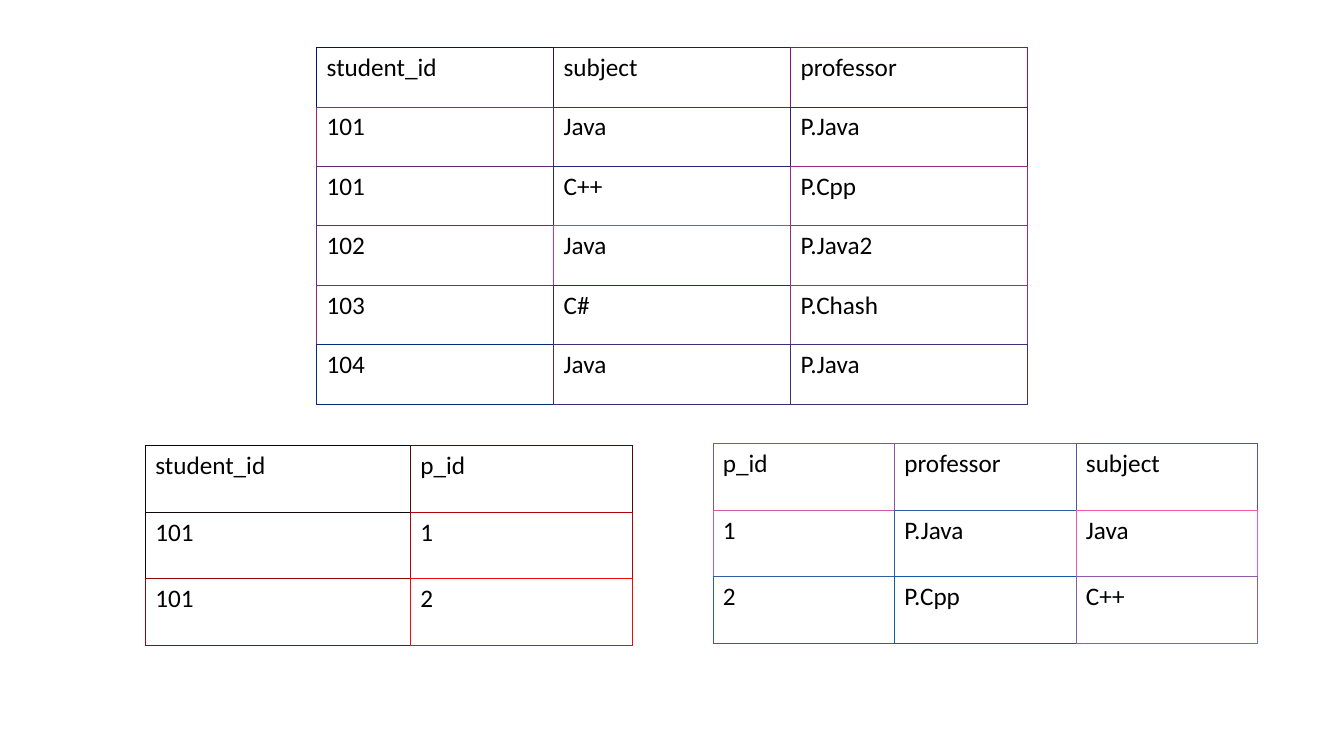
from lxml.etree import SubElement
from pptx import Presentation
from pptx.dml.color import RGBColor
from pptx.oxml.ns import qn
from pptx.util import Inches, Pt

# Each cell is (text, border colour).
ENROLMENT = [
    [("student_id", "000E7A"), ("subject", "20147A"), ("professor", "80157A")],
    [("101", "A0217A"), ("Java", "601F7A"), ("P.Java", "401B7A")],
    [("101", "60267A"), ("C++", "20277A"), ("P.Cpp", "A0287A")],
    [("102", "60317A"), ("Java", "E0307A"), ("P.Java2", "A02C7A")],
    [("103", "802A7A"), ("C#", "202C7A"), ("P.Chash", "A02F7A")],
    [("104", "002D7A"), ("Java", "402C7A"), ("P.Java", "40307A")],
]
STUDENTS = [
    [("student_id", "10040C"), ("p_id", "50080C")],
    [("101", "10070C"), ("1", "B0040C")],
    [("101", "90070C"), ("2", "F0090C")],
]
PROFESSORS = [
    [("p_id", "705AA8"), ("professor", "9052A8"), ("subject", "5054A8")],
    [("1", "D05AA8"), ("P.Java", "305FA8"), ("Java", "F05CA8")],
    [("2", "305DA8"), ("P.Cpp", "105BA8"), ("C++", "905BA8")],
]
# Rows, left, top, column widths, row height
TABLES = [
    (ENROLMENT, 3.14, 0.47, [2.35] * 3, 0.59),
    (STUDENTS, 1.44, 4.42, [2.63, 2.2], 0.66),
    (PROFESSORS, 7.07, 4.4, [1.8] * 3, 0.66),
]


def rgb(color):
    """Turn a hex string into a colour."""
    return RGBColor.from_string(color)


def write(tf, text, size=18, font="Calibri", color="000000"):
    """Put one formatted run into a text frame."""
    r = tf.paragraphs[0].add_run()
    r.text = text
    r.font.size, r.font.name = Pt(size), font
    r.font.color.rgb = rgb(color)


def set_borders(cell, colors, width=0.5):
    """Draw the cell's borders from a dict of side to colour."""
    tcPr = cell._tc.get_or_add_tcPr()
    for side, color in colors.items():
        ln = SubElement(tcPr, qn(f"a:ln{side}"), w=str(Pt(width)))
        SubElement(SubElement(ln, qn("a:solidFill")), qn("a:srgbClr"), val=color)


def add_grid(s, rows, left, top, widths, row_height):
    """Add a table whose cells share borders with the next right and below."""
    n_rows, n_cols = len(rows), len(widths)
    table = s.shapes.add_table(n_rows, n_cols, Inches(left), Inches(top),
                               Inches(sum(widths)),
                               Inches(row_height * n_rows)).table
    table.first_row = table.horz_banding = False
    for column, width in zip(table.columns, widths):
        column.width = Inches(width)
    for i, row in enumerate(rows):
        table.rows[i].height = Inches(row_height)
        for j, (text, color) in enumerate(row):
            cell = table.cell(i, j)
            right = row[min(j + 1, n_cols - 1)][1]
            below = rows[min(i + 1, n_rows - 1)][j][1]
            set_borders(cell, {"L": color, "R": right, "T": color, "B": below})
            cell.fill.solid()
            cell.fill.fore_color.rgb = rgb("FFFFFF")
            write(cell.text_frame, text)


prs = Presentation()
prs.slide_width, prs.slide_height = Inches(13.33), Inches(7.5)
s = prs.slides.add_slide(prs.slide_layouts[6])
for grid in TABLES:
    add_grid(s, *grid)
prs.save("out.pptx")
